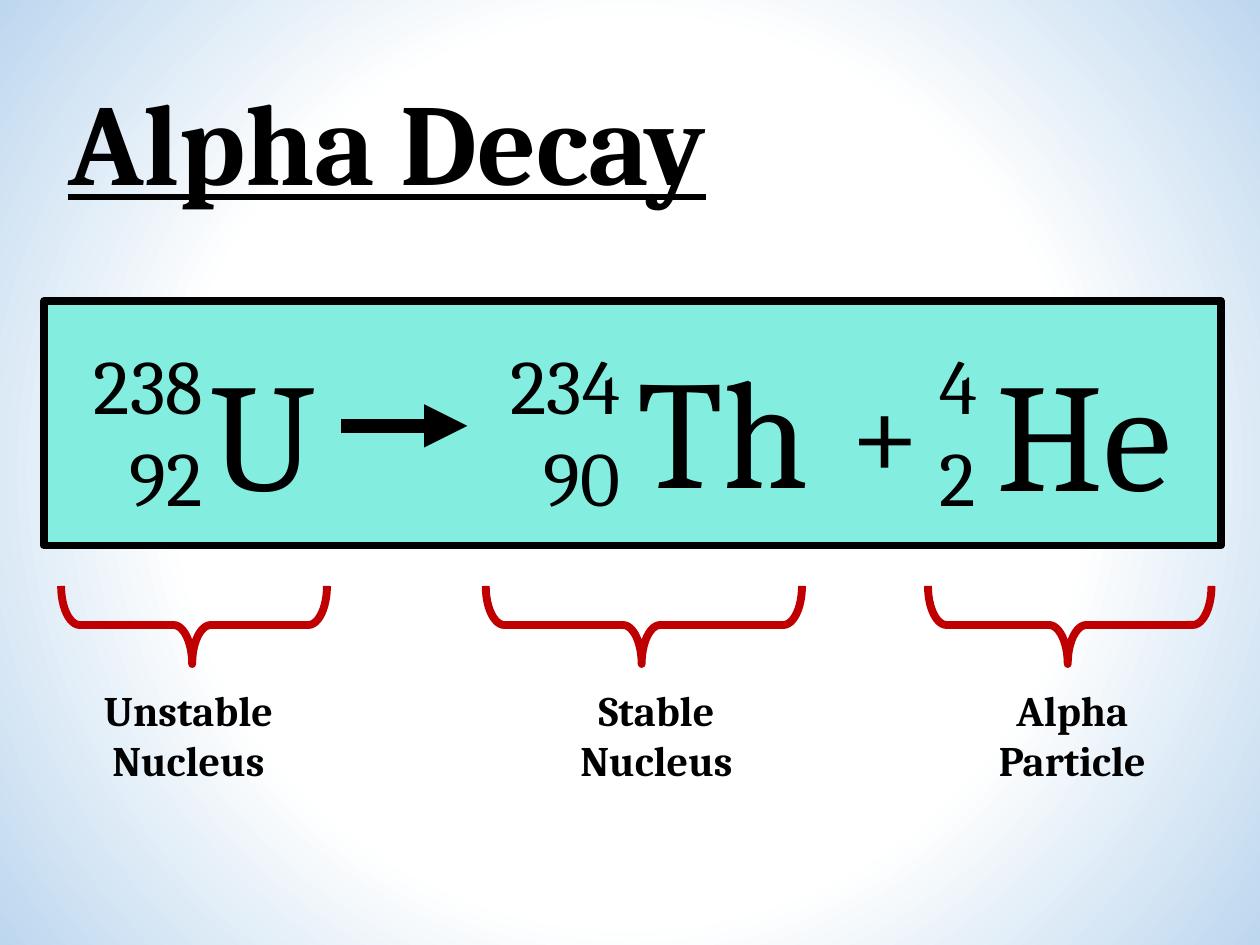
import pptx
import pptx.dml.color
import pptx.enum.shapes
import pptx.enum.text
import pptx.oxml
import pptx.oxml.ns
import pptx.util
from dataclasses import dataclass

Inches = pptx.util.Inches
Align = pptx.enum.text.PP_ALIGN
Shapes = pptx.enum.shapes.MSO_SHAPE


@dataclass(frozen=True)
class Theme:
    font: str = "Cambria"
    ink: str = "000000"
    panel: str = "83EEDF"
    brace: str = "C00000"
    backdrop_stops: tuple = ((0, "FFFFFF"), (57, "FFFFFF"), (100, "BDD7EE"))
    title: int = 66
    symbol: int = 88
    plus: int = 72
    number: int = 44
    label: int = 24
    outline: float = 4.5
    arrow: float = 8.25


THEME = Theme()


def rgb(color):
    return pptx.dml.color.RGBColor.from_string(color)


def write(frame, text, size, align=Align.CENTER, bold=False, underline=False, spacing=None):
    frame.word_wrap = True
    frame.auto_size = pptx.enum.text.MSO_AUTO_SIZE.NONE
    frame.vertical_anchor = pptx.enum.text.MSO_ANCHOR.TOP
    frame.text = text
    for paragraph in frame.paragraphs:
        paragraph.alignment = align
        paragraph.line_spacing = spacing
        for run in paragraph.runs:
            run.font.name = THEME.font
            run.font.size = pptx.util.Pt(size)
            run.font.bold = bold
            run.font.underline = underline
            run.font.color.rgb = rgb(THEME.ink)


def add_text(slide, text, left, top, width, height, **style):
    box = slide.shapes.add_textbox(Inches(left), Inches(top), Inches(width), Inches(height))
    write(box.text_frame, text, **style)


def add_outlined(slide, kind, left, top, width, height, color):
    outlined = slide.shapes.add_shape(
        kind, Inches(left), Inches(top), Inches(width), Inches(height))
    outlined.shadow.inherit = False
    outlined.fill.background()
    outlined.line.color.rgb = rgb(color)
    outlined.line.width = pptx.util.Pt(THEME.outline)
    return outlined


def add_brace(slide, center, span):
    depth, middle = 0.62, 4.96
    brace = add_outlined(slide, Shapes.LEFT_BRACE, center - depth / 2,
                         middle - span / 2, depth, span, THEME.brace)
    brace.rotation = 270
    brace.adjustments[0] = 0.239
    brace.adjustments[1] = 0.493


def add_arrow(slide, start, end, height):
    arrow = slide.shapes.add_connector(
        pptx.enum.shapes.MSO_CONNECTOR.STRAIGHT,
        Inches(start), Inches(height), Inches(end), Inches(height))
    arrow.line.color.rgb = rgb(THEME.ink)
    arrow.line.width = pptx.util.Pt(THEME.arrow)
    namespace = pptx.oxml.ns.nsdecls("a")
    arrow.line._get_or_add_ln().append(
        pptx.oxml.parse_xml(f'<a:tailEnd {namespace} type="triangle"/>'))
    arrow._element.spPr.append(pptx.oxml.parse_xml(f"<a:effectLst {namespace}/>"))


def set_backdrop(slide):
    slide.background.fill.solid()
    properties = slide._element.find(".//" + pptx.oxml.ns.qn("p:bgPr"))
    stops = "".join(
        f'<a:gs pos="{percent * 1000}"><a:srgbClr val="{color}"/></a:gs>'
        for percent, color in THEME.backdrop_stops)
    gradient = pptx.oxml.parse_xml(
        f'<a:gradFill {pptx.oxml.ns.nsdecls("a")} rotWithShape="1"><a:gsLst>{stops}</a:gsLst>'
        '<a:path path="circle"><a:fillToRect l="50000" t="50000" r="50000" b="50000"/>'
        "</a:path></a:gradFill>")
    properties.replace(properties[0], gradient)


def set_title(slide, text):
    title = slide.shapes.title
    title.left, title.top = Inches(0.44), Inches(0.72)
    title.width, title.height = Inches(8.77), Inches(1.08)
    write(title.text_frame, text, size=THEME.title, align=Align.LEFT,
          bold=True, underline=True, spacing=0.8)


def add_nuclide(slide, symbol, symbol_at, numbers, numbers_at, align):
    left, top, width = symbol_at
    add_text(slide, symbol, left, top, width, 1.1, size=THEME.symbol)
    left, width = numbers_at
    add_text(slide, numbers, left, 2.63, width, 1.22, size=THEME.number, align=align)


def main():
    deck = pptx.Presentation()
    deck.slide_width, deck.slide_height = Inches(10), Inches(7.5)
    slide = deck.slides.add_slide(deck.slide_layouts[5])
    set_backdrop(slide)
    set_title(slide, "Alpha Decay")

    panel = add_outlined(slide, Shapes.RECTANGLE, 0.35, 2.39, 9.34, 1.94, THEME.ink)
    panel.fill.solid()
    panel.fill.fore_color.rgb = rgb(THEME.panel)

    add_nuclide(slide, "U", (1.32, 2.63, 1.54), "238\n92", (0.21, 1.5), Align.RIGHT)
    add_arrow(slide, 2.71, 3.71, 3.38)
    add_nuclide(slide, "Th", (4.61, 2.61, 2.26), "234\n90", (3.35, 1.67), Align.RIGHT)
    add_text(slide, "+", 6.65, 2.75, 0.61, 1.1, size=THEME.plus)
    add_nuclide(slide, "He", (7.65, 2.63, 1.91), "4\n2", (7.36, 0.71), Align.LEFT)

    for label, left, width, brace_center, brace_span in (
        ("Unstable Nucleus", 0.69, 1.61, 1.54, 2.11),
        ("Stable Nucleus", 4.2, 2.02, 5.11, 2.51),
        ("Alpha Particle", 7.5, 2.02, 8.49, 2.25),
    ):
        add_text(slide, label, left, 5.38, width, 0.91, size=THEME.label, bold=True)
        add_brace(slide, brace_center, brace_span)

    deck.save("out.pptx")


if __name__ == "__main__":
    main()
